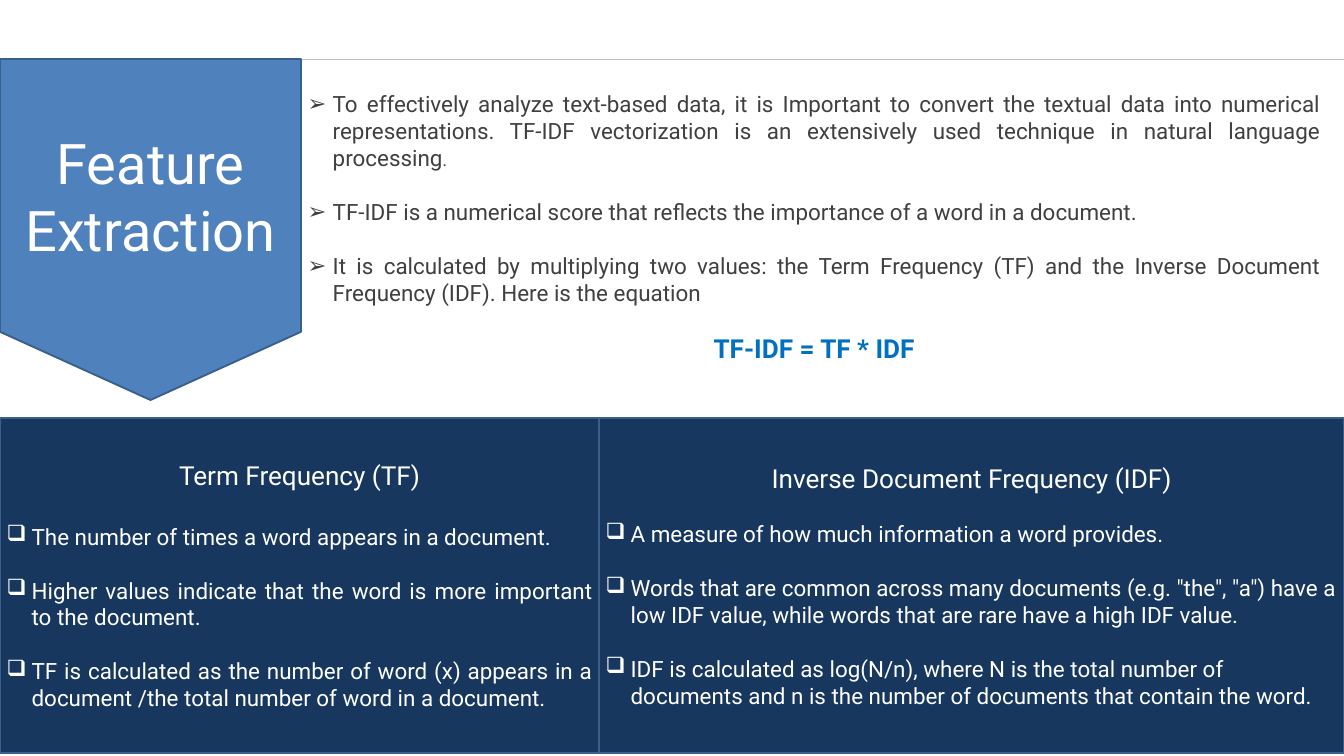
"""Build the Feature Extraction slide explaining TF-IDF."""
from lxml import etree
from pptx import Presentation
from pptx.dml.color import RGBColor
from pptx.enum.shapes import MSO_CONNECTOR, MSO_SHAPE
from pptx.enum.text import MSO_ANCHOR, MSO_AUTO_SIZE, PP_ALIGN
from pptx.oxml.ns import qn
from pptx.util import Pt

PX = 914400 / 67.2
CENTER, JUSTIFY, LEFT = PP_ALIGN.CENTER, PP_ALIGN.JUSTIFY, PP_ALIGN.LEFT
MIDDLE, TOP = MSO_ANCHOR.MIDDLE, MSO_ANCHOR.TOP
PENTAGON, RECTANGLE = MSO_SHAPE.FLOWCHART_OFFPAGE_CONNECTOR, MSO_SHAPE.RECTANGLE
STRAIGHT, NO_FIT = MSO_CONNECTOR.STRAIGHT, MSO_AUTO_SIZE.NONE
WHITE, GREY, BLUE, NAVY = "FFFFFF", "404040", "4F81BD", "17375E"
OUTLINE, RULE, ACCENT = "3A5F8C", "BFBFBF", "0070C0"


def rgb(value):
    return RGBColor.from_string(value)


def write(frame, text, size, color, align, gap=0, bullet=None):
    first = frame.paragraphs[0]
    paragraph = frame.add_paragraph() if first.runs else first
    paragraph.add_run().text = text
    properties = paragraph._p.get_or_add_pPr()
    indent = round(25 * PX) if bullet else 0
    properties.set("marL", str(indent))
    properties.set("indent", str(-indent))
    if bullet:
        etree.SubElement(properties, qn("a:buChar")).set("char", bullet)
    else:
        etree.SubElement(properties, qn("a:buNone"))
    paragraph.alignment = align
    paragraph.space_before = Pt(gap)
    paragraph.font.name = "Roboto"
    paragraph.font.size = Pt(size)
    paragraph.font.color.rgb = rgb(color)
    return paragraph


prs = Presentation()
prs.slide_width, prs.slide_height = round(1344 * PX), round(756 * PX)
slide = prs.slides.add_slide(prs.slide_layouts[1])
shapes = slide.shapes
title, intro = slide.placeholders

rule = shapes.add_connector(STRAIGHT, 0, round(59 * PX), prs.slide_width, round(59 * PX))
rule.line.color.rgb = rgb(RULE)
rule.line.width = Pt(0.75)
etree.SubElement(rule._element.spPr, qn("a:effectLst"))

panels = []
for kind, left, top, width, height, fill in (
    (PENTAGON, 0, 59, 301, 341, BLUE),
    (RECTANGLE, 0, 418, 599, 335, NAVY),
    (RECTANGLE, 599, 418, 745, 335, NAVY),
):
    panel = shapes.add_shape(kind, *(round(v * PX) for v in (left, top, width, height)))
    panel.shadow.inherit = False
    panel.fill.solid()
    panel.fill.fore_color.rgb = rgb(fill)
    panel.line.color.rgb = rgb(OUTLINE)
    panel.line.width = Pt(2)
    panels.append(panel)

for holder, box, anchor in (
    (title, (0, 59, 301, 273), MIDDLE),
    (intro, (301, 87, 1026, 303), TOP),
):
    holder.left, holder.top, holder.width, holder.height = (round(v * PX) for v in box)
    holder.text_frame.word_wrap = True
    holder.text_frame.auto_size = NO_FIT
    holder.text_frame.vertical_anchor = anchor
    shapes._spTree.append(holder._element)

write(title.text_frame, "Feature Extraction", 60, WHITE, CENTER)

points = (
    "To effectively analyze text-based data, it is Important to convert the textual data into "
    "numerical representations. TF-IDF vectorization is an extensively used technique in "
    "natural language processing",
    "TF-IDF is a numerical score that reflects the importance of a word in a document.",
    "It is calculated by multiplying two values: the Term Frequency (TF) and the Inverse "
    "Document Frequency (IDF). Here is the equation",
)
for number, point in enumerate(points):
    paragraph = write(intro.text_frame, point, 24, GREY, JUSTIFY, 29 if number else 0, "➢")
    if number == 0:
        full_stop = paragraph.add_run()
        full_stop.text = "."
        full_stop.font.name = "Times New Roman"
        full_stop.font.size = Pt(18)
equation = write(intro.text_frame, "TF-IDF = TF * IDF", 28, ACCENT, CENTER, 29)
equation.font.bold = True

definitions = (
    ("Term Frequency (TF)", JUSTIFY, 34, (
        "The number of times a word appears in a document.",
        "Higher values indicate that the word is more important to the document.",
        "TF is calculated as the number of word (x) appears in a document /the total number "
        "of word in a document.",
    )),
    ("Inverse Document Frequency (IDF)", LEFT, 29, (
        "A measure of how much information a word provides.",
        'Words that are common across many documents (e.g. "the", "a") have a low IDF value, '
        "while words that are rare have a high IDF value.",
        "IDF is calculated as log(N/n), where N is the total number of documents and n is the "
        "number of documents that contain the word.",
    )),
)
for panel, (heading, align, heading_gap, facts) in zip(panels[1:], definitions):
    frame = panel.text_frame
    frame.word_wrap = True
    frame.vertical_anchor = MIDDLE
    write(frame, heading, 28, WHITE, CENTER)
    for number, fact in enumerate(facts):
        write(frame, fact, 24, WHITE, align, 29 if number else heading_gap, "❑")

prs.save("out.pptx")
